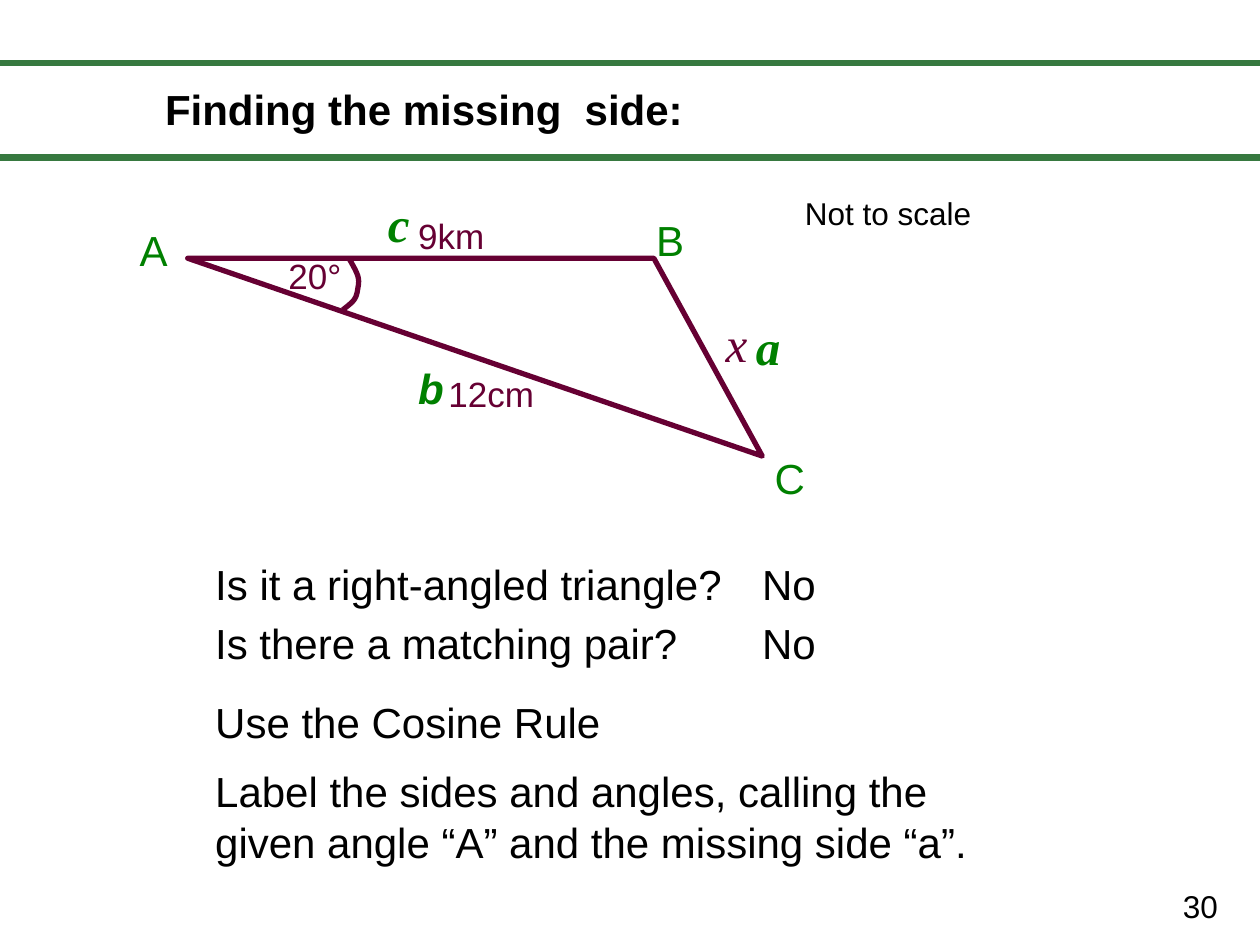
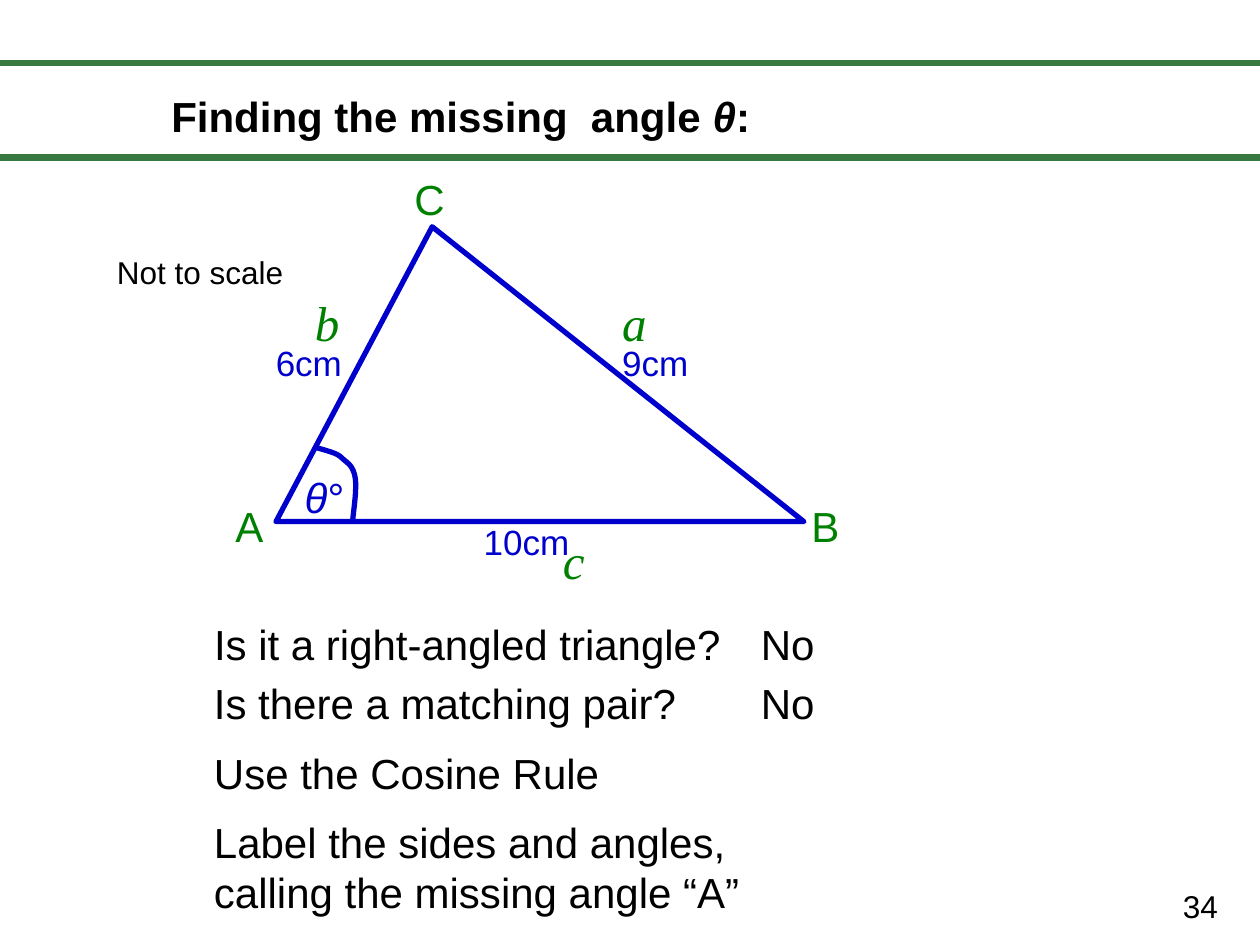
from dataclasses import dataclass
from typing import NamedTuple

from lxml.etree import SubElement
from pptx import Presentation
from pptx.dml.color import RGBColor
from pptx.enum.shapes import MSO_CONNECTOR as Connector
from pptx.enum.text import MSO_ANCHOR as Anchor, MSO_AUTO_SIZE as AutoSize, PP_ALIGN as Align
from pptx.oxml.ns import qn
from pptx.util import Inches, Pt

COLS, ROWS = 100, 75
WIDTH, HEIGHT = Inches(10), Inches(7.5)
TITLE_ONLY = 5
BAND_ROWS = (5, 12.5)
CURVE_STEPS = 8

COLORS = {
    "ink": "000000",
    "band": "377940",
    "letter": "008000",
    "side": "660033",
    "angle": "0000CC",
}

ARIAL, TIMES = "Arial", "Times New Roman"
FORMATS = {
    "title": dict(name=ARIAL, size=Pt(24), bold=True, italic=False),
    "body": dict(name=ARIAL, size=Pt(24), bold=False, italic=False),
    "measure": dict(name=ARIAL, size=Pt(20), bold=False, italic=False),
    "note": dict(name=ARIAL, size=Pt(18), bold=False, italic=False),
    "side": dict(name=TIMES, size=Pt(28), bold=False, italic=True),
    "bold side": dict(name=TIMES, size=Pt(28), bold=True, italic=True),
    "plain side": dict(name=ARIAL, size=Pt(24), bold=True, italic=True),
}
BOX_ROWS = {18: 4, 20: 4.3, 24: 5, 28: 5.7}
FRAME = dict(
    word_wrap=True,
    auto_size=AutoSize.NONE,
    vertical_anchor=Anchor.TOP,
    margin_left=Inches(0.1),
    margin_right=Inches(0.1),
    margin_top=Inches(0.05),
    margin_bottom=Inches(0.05),
)


class Point(NamedTuple):
    col: float
    row: float


class Label(NamedTuple):
    text: str
    col: float
    row: float
    cols: float
    style: str = "body"
    color: str = "ink"
    lines: int = 1


@dataclass
class Triangle:
    color: str
    corners: list[Point]
    arc: list[Point]
    labels: list[Label]


@dataclass
class Working:
    col: float
    row: float
    rule_gap: float
    task: str
    task_cols: float


@dataclass
class Page:
    number: int
    title: Label
    triangle: Triangle
    working: Working


PAGES = [
    Page(
        30,
        Label("Finding the missing  side:", 12.1, 6.1, 51.2, "title"),
        Triangle(
            "side",
            [Point(14.9, 20.5), Point(51.9, 20.5), Point(60.5, 36.2)],
            [Point(27.7, 20.5), Point(28.4, 21.9), Point(28.4, 22.9),
             Point(28.1, 23.8), Point(27.2, 24.6)],
            [
                Label("9km", 32.2, 16.5, 8.7, "measure", "side"),
                Label("12cm", 34.6, 29.1, 11.8, "measure", "side"),
                Label("20°", 21.9, 19.7, 7.9, "measure", "side"),
                Label("x", 56.6, 24.4, 5.5, "side", "side"),
                Label("A", 10.1, 17.3, 4.7, color="letter"),
                Label("B", 51.1, 16.5, 4.2, color="letter"),
                Label("C", 60.5, 35.4, 4.7, color="letter"),
                Label("a", 59, 24.6, 4, "bold side", "letter"),
                Label("b", 32.2, 28.3, 4, "plain side", "letter"),
                Label("c", 29.8, 14.9, 3.7, "bold side", "letter"),
                Label("Not to scale", 62.9, 14.9, 18.1, "note"),
            ],
        ),
        Working(16.1, 43.8, 6.3,
                "Label the sides and angles, calling the given angle “A” "
                "and the missing side “a”.", 64.6),
    ),
    Page(
        34,
        Label("Finding the missing  angle θ:", 12.6, 6.7, 51.2, "title"),
        Triangle(
            "angle",
            [Point(21.9, 41.4), Point(34.3, 18), Point(63.8, 41.4)],
            [Point(25, 35.5), Point(26.6, 36), Point(27.3, 36.5), Point(27.9, 37.1),
             Point(28.2, 38), Point(28.2, 39.3), Point(28, 41.2)],
            [
                Label("9cm", 48.4, 26.6, 8.7, "measure", "angle"),
                Label("6cm", 20.9, 26.6, 10.2, "measure", "angle"),
                Label("10cm", 37.4, 40.8, 11, "measure", "angle"),
                Label("θ°", 23.2, 36.9, 10.2, color="angle"),
                Label("A", 17.7, 39.2, 4.7, color="letter"),
                Label("B", 63.4, 39.2, 4.2, color="letter"),
                Label("C", 31.9, 13.3, 4.7, color="letter"),
                Label("a", 48.4, 22.7, 4.7, "side", "letter"),
                Label("b", 24, 22.7, 4.7, "side", "letter"),
                Label("c", 43.7, 41.6, 6.3, "side", "letter"),
                Label("Not to scale", 8.3, 19.6, 18.1, "note"),
            ],
        ),
        Working(16, 48.6, 5.5,
                "Label the sides and angles, calling the missing angle “A”", 45.7),
    ),
]


def x(col: float) -> int:
    return round(WIDTH * col / COLS)


def y(row: float) -> int:
    return round(HEIGHT * row / ROWS)


def rgb(name: str) -> RGBColor:
    return RGBColor.from_string(COLORS[name])


def write(sp, label: Label) -> None:
    font = FORMATS[label.style]
    rows = BOX_ROWS[int(font["size"].pt)] + 4 * (label.lines - 1)
    sp.left, sp.top, sp.width, sp.height = x(label.col), y(label.row), x(label.cols), y(rows)
    tf = sp.text_frame
    for key, value in FRAME.items():
        setattr(tf, key, value)
    p = tf.paragraphs[0]
    p.alignment = Align.LEFT
    for part in filter(None, label.text.partition("θ")):
        r = p.add_run()
        r.text = part
        for key, value in font.items():
            setattr(r.font, key, value)
        r.font.italic = font["italic"] or part == "θ"
        r.font.color.rgb = rgb(label.color)


def add_label(s, label: Label) -> None:
    write(s.shapes.add_textbox(0, 0, 0, 0), label)


def add_band(s, row: float) -> None:
    sp = s.shapes.add_connector(Connector.STRAIGHT, 0, y(row), WIDTH, y(row))
    sp.line.color.rgb, sp.line.width = rgb("band"), Pt(4)
    SubElement(sp._element.spPr, qn("a:effectLst"))


def add_outline(s, points: list[Point], color: str, close: bool) -> None:
    start, *rest = [(x(pt.col), y(pt.row)) for pt in points]
    builder = s.shapes.build_freeform(*start)
    builder.add_line_segments(rest, close=close)
    sp = builder.convert_to_shape()
    sp.shadow.inherit = False
    sp.fill.background()
    sp.line.color.rgb, sp.line.width = rgb(color), Pt(3)


def spline(a: float, b: float, c: float, d: float, t: float) -> float:
    return b + t / 2 * (c - a + t * (2 * a - 5 * b + 4 * c - d + t * (3 * (b - c) + d - a)))


def smooth_curve(points: list[Point]) -> list[Point]:
    ends = [points[0], *points, points[-1]]
    curve = [
        Point(*(spline(*values, step / CURVE_STEPS) for values in zip(*ends[i:i + 4])))
        for i in range(len(points) - 1)
        for step in range(CURVE_STEPS)
    ]
    return curve + [points[-1]]


def add_triangle(s, triangle: Triangle) -> None:
    add_outline(s, triangle.corners, triangle.color, close=True)
    add_outline(s, smooth_curve(triangle.arc), triangle.color, close=False)
    for label in triangle.labels:
        add_label(s, label)


def add_working(s, work: Working) -> None:
    questions = [("Is it a right-angled triangle?", 44.1), ("Is there a matching pair?", 41.7)]
    for i, (question, cols) in enumerate(questions):
        row = work.row + 4.7 * i
        add_label(s, Label(question, work.col, row, cols))
        add_label(s, Label("No", work.col + 43.4, row, 7.9))
    rule_row = work.row + 4.7 + work.rule_gap
    add_label(s, Label("Use the Cosine Rule", work.col, rule_row, 39.4))
    add_label(s, Label(work.task, work.col, rule_row + 5.5, work.task_cols, lines=2))


def add_page(prs, page: Page) -> None:
    s = prs.slides.add_slide(prs.slide_layouts[TITLE_ONLY])
    for row in BAND_ROWS:
        add_band(s, row)
    write(s.shapes.title, page.title)
    add_triangle(s, page.triangle)
    add_working(s, page.working)
    add_label(s, Label(str(page.number), 92.9, 69.9, 7.1, "note"))


def main() -> None:
    prs = Presentation()
    prs.slide_width, prs.slide_height = WIDTH, HEIGHT
    for page in PAGES:
        add_page(prs, page)
    prs.save("out.pptx")


if __name__ == "__main__":
    main()
